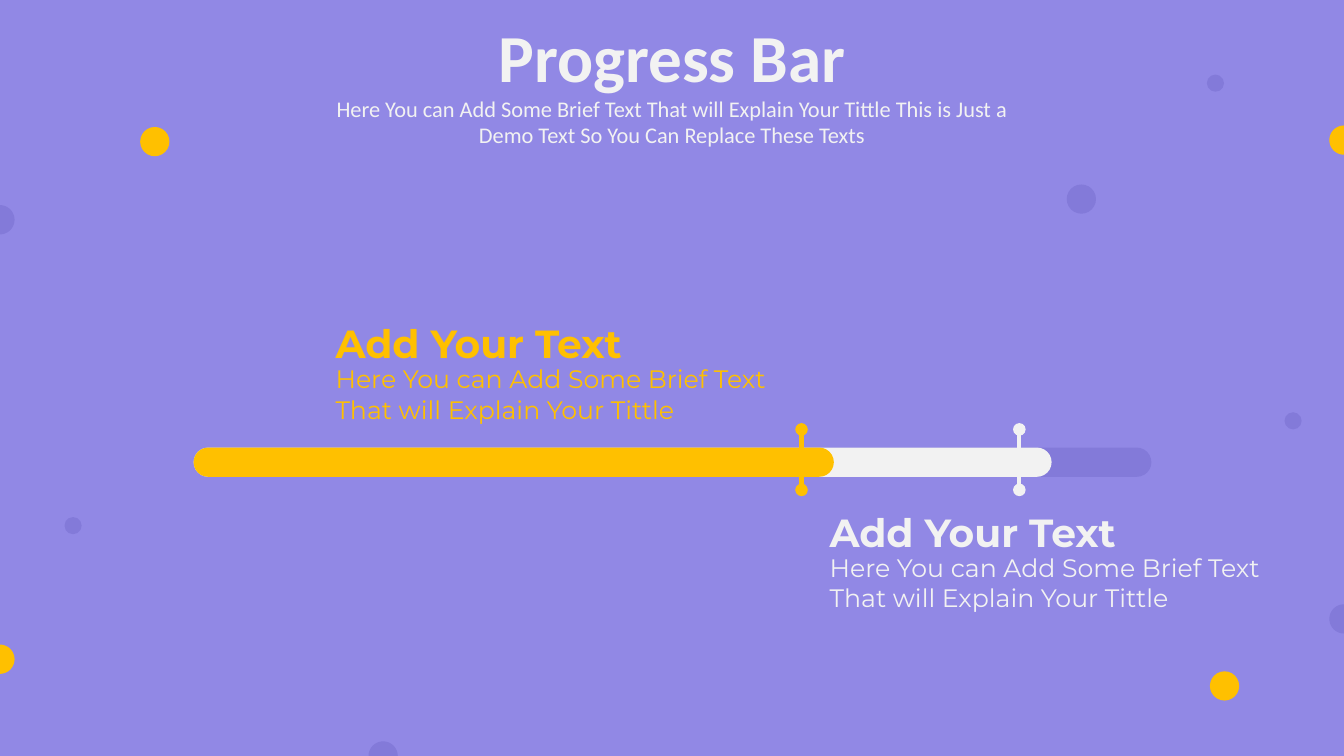
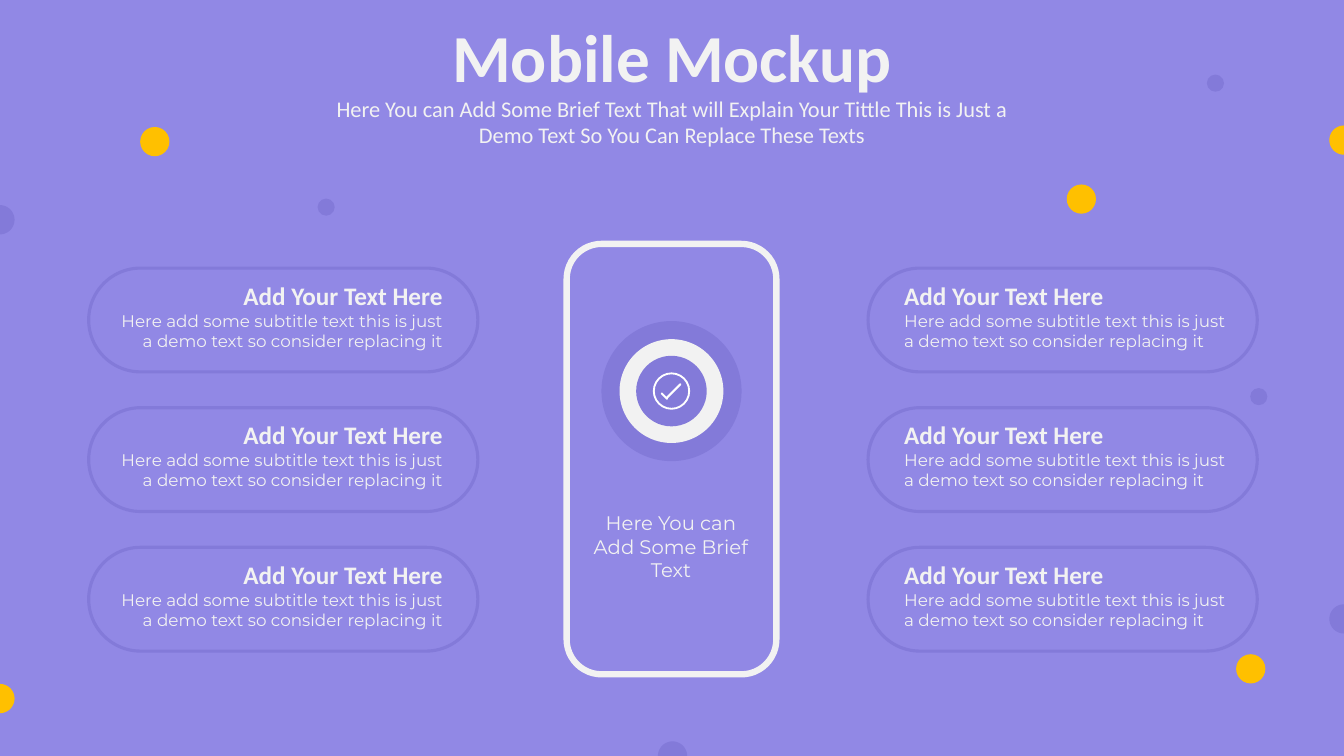
from math import cos, pi, sin

from lxml.etree import SubElement
from pptx import Presentation
from pptx.dml.color import RGBColor
from pptx.enum.shapes import MSO_CONNECTOR as CONNECTOR, MSO_SHAPE as SHAPE
from pptx.enum.text import MSO_AUTO_SIZE as AUTO_SIZE, PP_ALIGN as ALIGN
from pptx.oxml.ns import qn
from pptx.util import Inches, Pt

WIDTH, HEIGHT = 13.33, 7.5
COLORS = {
    "background": "9188E5",
    "shade": "837AD9",
    "light": "F2F2F2",
    "accent": "FFC000",
    "white": "FFFFFF",
}
HEADING_FONT, BODY_FONT = "Calibri", "Montserrat"
LARGE_DOT, SMALL_DOT = 0.29, 0.17
EDGE_ANGLES = {"left": -pi / 2, "right": pi / 2, "bottom": pi}

SUBTITLE = (
    "Here You can Add Some Brief Text That will Explain Your Tittle "
    "This is Just a Demo Text So You Can Replace These Texts"
)
MARKER_TEXT = "Here You can Add Some Brief Text That will Explain Your Tittle"
CARD_TEXT = "Here add some subtitle text this is just a demo text so consider replacing it"

SHARED_DOTS = [
    (1.39, 1.26, LARGE_DOT, "accent"),
    (11.97, 0.74, SMALL_DOT, "shade"),
]
SHARED_HALF_DOTS = [
    ("left", 2.18, "shade"),
    ("right", 6.14, "shade"),
    ("right", 1.39, "accent"),
]


def color(name):
    return RGBColor.from_string(COLORS[name])


def paint(shape, fill=None, line=None, line_width=1):
    shape.shadow.inherit = False
    if fill:
        shape.fill.solid()
        shape.fill.fore_color.rgb = color(fill)
    else:
        shape.fill.background()
    if line:
        shape.line.color.rgb = color(line)
        shape.line.width = Pt(line_width)
    else:
        shape.line.fill.background()
    return shape


def add_box(shapes, kind, left, top, width, height, corner=None, **style):
    shape = shapes.add_shape(kind, Inches(left), Inches(top), Inches(width), Inches(height))
    if corner is not None:
        shape.adjustments[0] = corner
    return paint(shape, **style)


def add_centred(shapes, kind, x, y, width, height, **style):
    return add_box(shapes, kind, x - width / 2, y - height / 2, width, height, **style)


def add_text(shapes, text, left, top, width, height, size, font=BODY_FONT,
             fill="light", bold=False, align=ALIGN.LEFT):
    box = shapes.add_textbox(Inches(left), Inches(top), Inches(width), Inches(height))
    frame = box.text_frame
    frame.word_wrap = True
    frame.auto_size = AUTO_SIZE.SHAPE_TO_FIT_TEXT
    paragraph = frame.paragraphs[0]
    paragraph.text = text
    paragraph.alignment = align
    paragraph.font.name = font
    paragraph.font.size = Pt(size)
    paragraph.font.bold = bold
    paragraph.font.color.rgb = color(fill)


def add_half_dot(shapes, edge, position, fill, steps=24):
    x, y = {
        "left": (0, position),
        "right": (WIDTH, position),
        "bottom": (position, HEIGHT),
    }[edge]
    start, radius = EDGE_ANGLES[edge], LARGE_DOT / 2
    angles = [start + pi * step / steps for step in range(steps + 1)]
    points = [(Inches(x + radius * cos(angle)), Inches(y + radius * sin(angle)))
              for angle in angles]
    builder = shapes.build_freeform(*points[0])
    builder.add_line_segments(points[1:], close=True)
    paint(builder.convert_to_shape(), fill=fill)


def add_base_slide(presentation, title, dots, half_dots):
    slide = presentation.slides.add_slide(presentation.slide_layouts[6])
    slide.background.fill.solid()
    slide.background.fill.fore_color.rgb = color("background")
    shapes = slide.shapes
    for left, top, size, fill in SHARED_DOTS + dots:
        add_box(shapes, SHAPE.OVAL, left, top, size, size, fill=fill)
    for edge, position, fill in SHARED_HALF_DOTS + half_dots:
        add_half_dot(shapes, edge, position, fill)
    add_text(shapes, title, 4.02, 0.1, 5.29, 0.91, 48, HEADING_FONT,
             bold=True, align=ALIGN.CENTER)
    add_text(shapes, SUBTITLE, 3.19, 0.89, 6.95, 0.64, 16, HEADING_FONT,
             align=ALIGN.CENTER)
    return shapes


def add_marker(shapes, x, top, height, fill):
    marker = shapes.add_connector(CONNECTOR.STRAIGHT, Inches(x), Inches(top),
                                  Inches(x), Inches(top + height))
    marker.line.color.rgb = color(fill)
    marker.line.width = Pt(3)
    line = marker.line._get_or_add_ln()
    for end in ("a:headEnd", "a:tailEnd"):
        SubElement(line, qn(end), type="oval")
    SubElement(marker._element.spPr, qn("a:effectLst"))


def add_progress_bar(shapes, left, top, width, height, levels):
    add_box(shapes, SHAPE.ROUNDED_RECTANGLE, left, top, width, height, 0.5, fill="shade")
    for length, fill in levels:
        level = shapes.add_group_shape().shapes
        add_box(level, SHAPE.ROUNDED_RECTANGLE, left, top, length, height, 0.5, fill=fill)
        add_marker(level, left + length - 0.32, top - 0.18, 0.6, fill)


def add_marker_text(shapes, left, top, width, fill):
    group = shapes.add_group_shape().shapes
    add_text(group, "Add Your Text", left, top, 3.9, 0.57, 28, fill=fill, bold=True)
    add_text(group, MARKER_TEXT, left, top + 0.44, width, 0.71, 18, fill=fill)


def add_check_badge(shapes, x, y):
    for size, fill in ((1.39, "shade"), (1.03, "light"), (0.7, "shade")):
        add_centred(shapes, SHAPE.OVAL, x, y, size, size, fill=fill)
    check = shapes.add_group_shape().shapes
    add_centred(check, SHAPE.DONUT, x, y, 0.37, 0.37, corner=0.05, fill="white")
    for shift_x, shift_y, length, angle in ((-0.07, 0.05, 0.09, 135), (0.02, 0, 0.21, 225)):
        stroke = add_centred(check, SHAPE.ROUNDED_RECTANGLE, x + shift_x, y + shift_y,
                             0.02, length, corner=0.5, fill="white")
        stroke.rotation = angle


def add_phone(shapes, left, top, width, height):
    middle = left + width / 2
    add_box(shapes, SHAPE.ROUNDED_RECTANGLE, left, top, width, height,
            line="light", line_width=4.5)
    add_check_badge(shapes, middle, top + 1.46)
    add_text(shapes, "Here You can Add Some Brief Text", middle - 0.94, top + 2.6,
             1.87, 0.81, 14, align=ALIGN.CENTER)


def add_card(shapes, left, top, indent, align):
    group = shapes.add_group_shape().shapes
    add_box(group, SHAPE.ROUNDED_RECTANGLE, left, top, 3.86, 1.03, 0.5,
            fill="background", line="shade", line_width=2.25)
    add_text(group, "Add Your Text Here", left + indent, top + 0.07, 3.46, 0.4, 18,
             HEADING_FONT, bold=True, align=align)
    add_text(group, CARD_TEXT, left + indent, top + 0.37, 3.46, 0.5, 12, align=align)


def build_progress_slide(presentation):
    shapes = add_base_slide(
        presentation, "Progress Bar",
        [(0.64, 5.13, SMALL_DOT, "shade"), (12.74, 4.09, SMALL_DOT, "shade"),
         (12, 6.66, LARGE_DOT, "accent"), (10.58, 1.83, LARGE_DOT, "shade")],
        [("left", 6.54, "accent"), ("bottom", 3.8, "shade")])
    add_progress_bar(shapes, 1.92, 4.44, 9.5, 0.29, [(8.51, "light"), (6.35, "accent")])
    add_marker_text(shapes, 3.23, 3.12, 4.6, "accent")
    add_marker_text(shapes, 8.13, 4.99, 4.61, "light")


def build_mockup_slide(presentation):
    shapes = add_base_slide(
        presentation, "Mobile Mockup",
        [(3.15, 1.97, SMALL_DOT, "shade"), (12.4, 3.85, SMALL_DOT, "shade"),
         (12.26, 6.49, LARGE_DOT, "accent"), (10.58, 1.83, LARGE_DOT, "accent")],
        [("left", 6.93, "accent"), ("bottom", 6.67, "shade")])
    add_phone(shapes, 5.62, 2.42, 2.08, 4.27)
    for left, indent, align in ((8.61, 0.26, ALIGN.LEFT), (0.88, 0.15, ALIGN.RIGHT)):
        for row in range(3):
            add_card(shapes, left, 2.66 + 1.385 * row, indent, align)


def main():
    presentation = Presentation()
    presentation.slide_width = Inches(WIDTH)
    presentation.slide_height = Inches(HEIGHT)
    build_progress_slide(presentation)
    build_mockup_slide(presentation)
    presentation.save("out.pptx")


if __name__ == "__main__":
    main()
